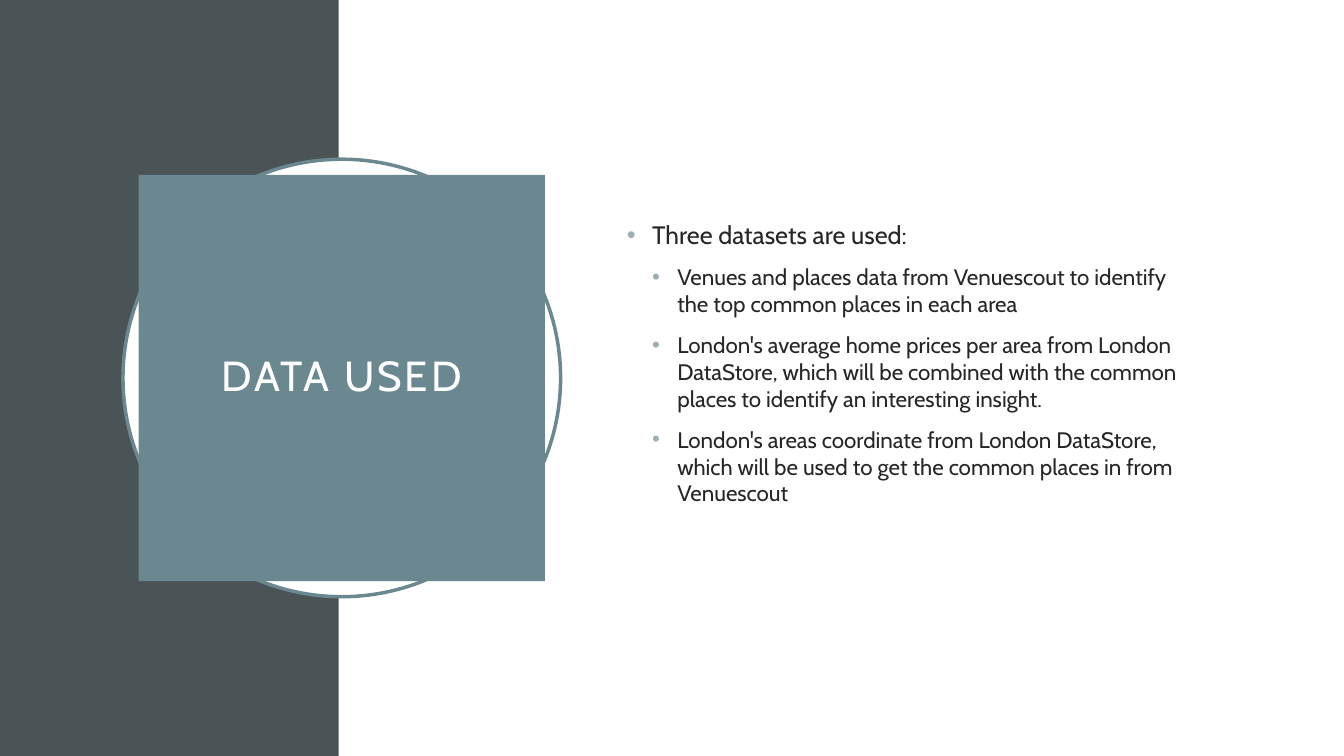
from lxml.etree import SubElement
from pptx import Presentation
from pptx.dml.color import RGBColor
from pptx.enum.shapes import MSO_SHAPE
from pptx.enum.text import MSO_ANCHOR, PP_ALIGN
from pptx.oxml.ns import qn
from pptx.util import Inches, Pt

WIDTH, HEIGHT = 13.33, 7.5
SIDEBAR_WIDTH = 3.36
BADGE_CENTER = (3.39, 3.75)
FONT = "Cabin"
SLATE, TEAL, WHITE, INK, BULLET = "4A5356", "6B8891", "FFFFFF", "262626", "9BAFB5"

DATASETS = [
    (0, "Three datasets are used:"),
    (1, "Venues and places data from Venuescout to identify the top common "
        "places in each area"),
    (1, "London's average home prices per area from London DataStore, which will "
        "be combined with the common places to identify an interesting insight."),
    (1, "London's areas coordinate from London DataStore, which will be used to "
        "get the common places in from Venuescout"),
]


def color(value):
    return RGBColor.from_string(value)


def add_shape(slide, kind, left, top, width, height, fill, line=None):
    shape = slide.shapes.add_shape(
        kind, Inches(left), Inches(top), Inches(width), Inches(height))
    shape.shadow.inherit = False
    shape.fill.solid()
    shape.fill.fore_color.rgb = color(fill)
    if line:
        shape.line.color.rgb = color(line)
        shape.line.width = Pt(2.5)
    else:
        shape.line.fill.background()
    return shape


def add_centered(slide, kind, size, fill, line=None):
    left, top = (center - size / 2 for center in BADGE_CENTER)
    return add_shape(slide, kind, left, top, size, size, fill, line)


def set_font(paragraph, size, value):
    font = paragraph.font
    font.name, font.size = FONT, Pt(size)
    font.color.rgb = color(value)


def add_title(shape, text):
    frame = shape.text_frame
    frame.word_wrap = True
    frame.vertical_anchor = MSO_ANCHOR.MIDDLE
    frame.margin_left = frame.margin_right = Inches(0.2)
    frame.margin_top = frame.margin_bottom = Inches(0.2)
    paragraph = frame.paragraphs[0]
    paragraph.alignment = PP_ALIGN.CENTER
    paragraph.line_spacing = 0.9
    run = paragraph.add_run()
    run.text = text
    set_font(paragraph, 30, WHITE)
    # Letter spacing in hundredths of a point
    run.font._element.set("spc", "200")


def add_bullet(paragraph, level):
    properties = paragraph._p.get_or_add_pPr()
    properties.set("marL", str(Inches(0.25 * (level + 1))))
    properties.set("indent", str(Inches(-0.25)))
    bullet_color = SubElement(properties, qn("a:buClr"))
    SubElement(bullet_color, qn("a:srgbClr"), val=BULLET)
    SubElement(properties, qn("a:buFont"), typeface="Arial")
    SubElement(properties, qn("a:buChar"), char="•")


def add_bullet_list(slide, left, top, width, height, items):
    box = slide.shapes.add_textbox(
        Inches(left), Inches(top), Inches(width), Inches(height))
    frame = box.text_frame
    frame.word_wrap = True
    frame.vertical_anchor = MSO_ANCHOR.MIDDLE
    for index, (level, text) in enumerate(items):
        paragraph = frame.add_paragraph() if index else frame.paragraphs[0]
        paragraph.text = text
        paragraph.level = level
        add_bullet(paragraph, level)
        paragraph.space_before = Pt(10 if index else 0)
        set_font(paragraph, 18 - 2 * level, INK)


def main():
    presentation = Presentation()
    presentation.slide_width = Inches(WIDTH)
    presentation.slide_height = Inches(HEIGHT)
    slide = presentation.slides.add_slide(presentation.slide_layouts[6])

    # Dark sidebar
    add_shape(slide, MSO_SHAPE.RECTANGLE, 0, 0, SIDEBAR_WIDTH, HEIGHT, SLATE)

    # Title badge: ring behind a square
    add_centered(slide, MSO_SHAPE.OVAL, 4.34, WHITE, TEAL)
    badge = add_centered(slide, MSO_SHAPE.RECTANGLE, 4.03, TEAL)
    add_title(badge, "DATA USED")

    # List of datasets
    add_bullet_list(slide, 6.12, 1.53, 5.82, 4.14, DATASETS)

    presentation.save("out.pptx")


if __name__ == "__main__":
    main()
